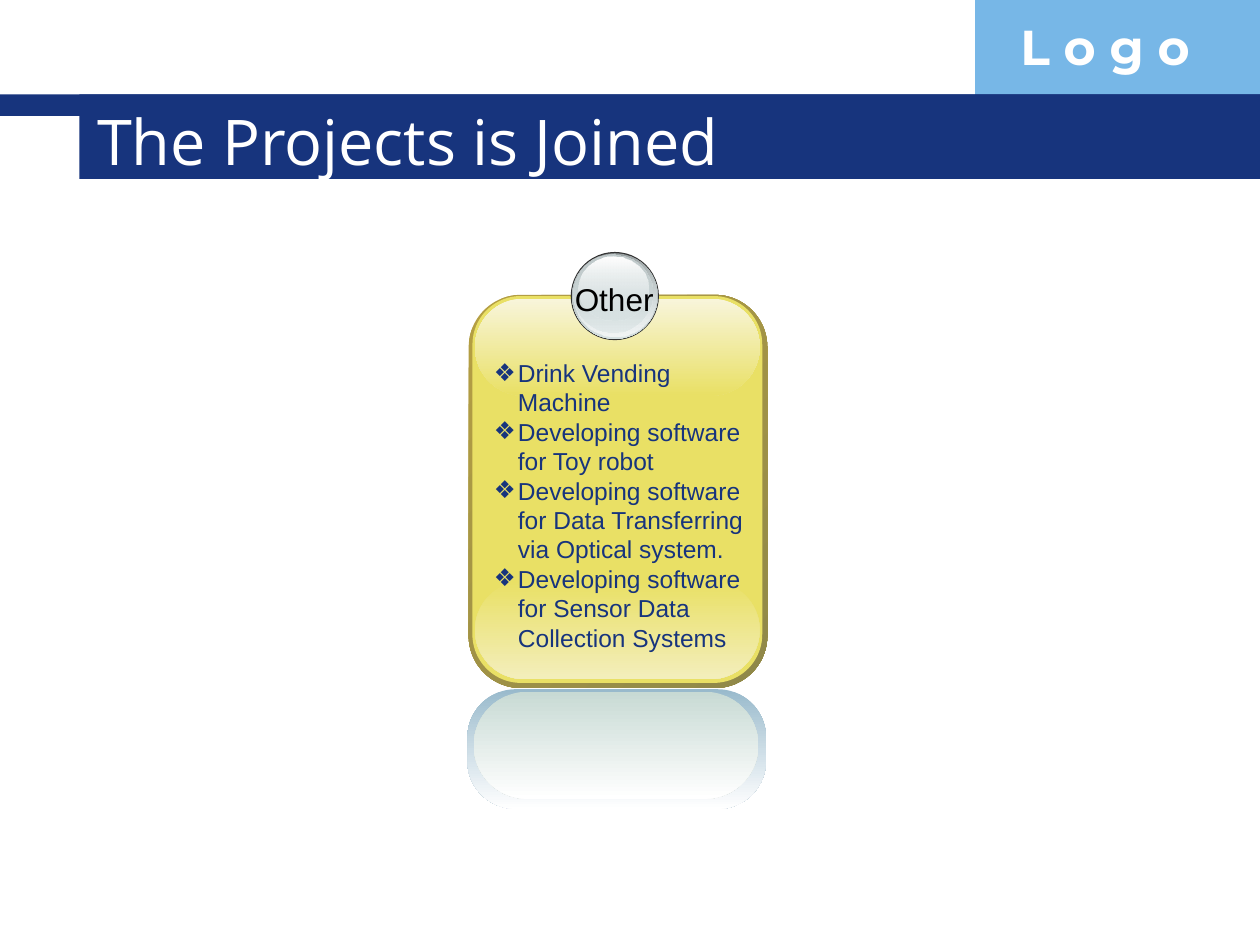
import dataclasses
from typing import Any, Optional

import lxml.etree
import pptx
import pptx.dml.color
import pptx.enum.shapes
import pptx.enum.text
import pptx.oxml.ns
import pptx.util

Inches = pptx.util.Inches
Pt = pptx.util.Pt
Kind = pptx.enum.shapes.MSO_SHAPE
Anchor = pptx.enum.text.MSO_ANCHOR
Align = pptx.enum.text.PP_ALIGN
AutoSize = pptx.enum.text.MSO_AUTO_SIZE
qn = pptx.oxml.ns.qn


@dataclasses.dataclass(frozen=True)
class Style:
    """Font, size and colour of a run."""
    font: str
    size: int
    color: str
    bold: bool = False


@dataclasses.dataclass(frozen=True)
class Theme:
    """Colours and text styles of the slide."""
    navy: str = "17347D"
    sky: str = "77B7E7"
    yellow: str = "E9E065"
    rim: str = "333333"
    silver: str = "D6E1E2"
    white: str = "FFFFFF"
    logo: Style = Style("Montserrat", 28, "FFFFFF", True)
    title: Style = Style("Open Sans", 36, "FFFFFF")
    badge: Style = Style("Arial", 18, "000000")
    project: Style = Style("Arial", 14, "17347D")


@dataclasses.dataclass(frozen=True)
class Layer:
    """A filled outline; a second colour makes the fill a gradient."""
    kind: Any
    box: tuple[float, float, float, float]
    color: str
    end_color: Optional[str] = None
    angle: int = 90
    radius: Optional[float] = None
    opacity: tuple[int, int] = (100, 100)


THEME = Theme()
RECT, ROUND, OVAL = Kind.RECTANGLE, Kind.ROUNDED_RECTANGLE, Kind.OVAL

HEADER = [
    Layer(RECT, (7.74, 0, 2.26, 0.92), THEME.sky),
    Layer(RECT, (0, 0.75, 10, 0.17), THEME.navy),
    Layer(RECT, (0.63, 0.75, 9.37, 0.67), THEME.navy),
]
CARD = [
    Layer(ROUND, (3.72, 2.34, 2.37, 3.12), "B59F43", "8F8849", 45, 0.175),
    Layer(ROUND, (3.75, 2.35, 2.3, 3.07), THEME.yellow, radius=0.167),
    Layer(ROUND, (3.77, 4.61, 2.26, 0.78), THEME.yellow, "F3EEBB", radius=0.5),
    Layer(ROUND, (3.77, 2.37, 2.26, 0.77), "F8F5DB", THEME.yellow, radius=0.5),
]
BADGE = [
    Layer(OVAL, (4.53, 2, 0.7, 0.7), THEME.rim),
    Layer(OVAL, (4.54, 2.01, 0.68, 0.68), "99A1A2", THEME.silver),
    Layer(OVAL, (4.55, 2.01, 0.66, 0.66), THEME.silver, "F2F5F5", opacity=(0, 100)),
    Layer(OVAL, (4.55, 2.02, 0.63, 0.62), "C1CBCC", THEME.silver, opacity=(100, 48)),
    Layer(OVAL, (4.59, 2.04, 0.56, 0.5), THEME.white, THEME.silver, opacity=(100, 38)),
]
REFLECTION = [
    Layer(ROUND, (3.71, 5.47, 2.37, 0.95), "99BACC", THEME.white, radius=0.404),
    Layer(ROUND, (3.76, 5.49, 2.26, 0.85), "C8DAD4", THEME.white, radius=0.5),
]
PROJECTS = [
    "Drink Vending Machine",
    "Developing software for Toy robot",
    "Developing software for Data Transferring via Optical system.",
    "Developing software for Sensor Data Collection Systems",
]


def rgb(color: str) -> pptx.dml.color.RGBColor:
    """Turn a hex string into a colour."""
    return pptx.dml.color.RGBColor.from_string(color)


def draw_layer(slide: Any, layer: Layer) -> None:
    """Draw one layer with no outline and no shadow."""
    shape = slide.shapes.add_shape(layer.kind, *map(Inches, layer.box))
    shape.shadow.inherit = False
    shape.line.fill.background()
    if layer.radius is not None:
        shape.adjustments[0] = layer.radius
    if layer.end_color is None:
        shape.fill.solid()
        shape.fill.fore_color.rgb = rgb(layer.color)
        return
    shape.fill.gradient()
    shape.fill.gradient_angle = 360 - layer.angle
    for place, (stop, color) in enumerate(
            zip(shape.fill.gradient_stops, (layer.color, layer.end_color))):
        stop.position = place
        stop.color.rgb = rgb(color)
    for tint, percent in zip(shape._element.spPr.iter(qn("a:srgbClr")), layer.opacity):
        if percent < 100:
            lxml.etree.SubElement(tint, qn("a:alpha"), val=str(percent * 1000))


def add_run(paragraph: Any, text: str, style: Style) -> None:
    """Append a styled run to a paragraph."""
    run = paragraph.add_run()
    run.text = text
    run.font.name = style.font
    run.font.size = Pt(style.size)
    run.font.bold = style.bold
    run.font.color.rgb = rgb(style.color)


def add_label(slide: Any, box: tuple[float, float, float, float], text: str,
              style: Style, align: Any, wrap: bool) -> None:
    """Add a one-line text box."""
    frame = slide.shapes.add_textbox(*map(Inches, box)).text_frame
    frame.word_wrap = wrap
    frame.paragraphs[0].alignment = align
    add_run(frame.paragraphs[0], text, style)


def place(slide: Any, holder: Any, box: tuple[float, float, float, float],
          anchor: Any) -> Any:
    """Move a placeholder to the front and to its box; return its text frame."""
    slide.shapes._spTree.append(holder._element)
    holder.left, holder.top, holder.width, holder.height = map(Inches, box)
    frame = holder.text_frame
    frame.word_wrap = True
    frame.auto_size = AutoSize.NONE
    frame.vertical_anchor = anchor
    return frame


def add_bullet(paragraph: Any, text: str) -> None:
    """Fill a paragraph as a diamond-bulleted project."""
    paragraph.alignment = Align.LEFT
    paragraph.space_before = Pt(0)
    properties = paragraph._p.get_or_add_pPr()
    indent = Inches(0.19)
    properties.set("marL", str(indent))
    properties.set("indent", str(-indent))
    lxml.etree.SubElement(properties, qn("a:buFont"), typeface="Arial")
    lxml.etree.SubElement(properties, qn("a:buChar"), char="❖")
    add_run(paragraph, text, THEME.project)


def build() -> None:
    """Build the slide and save it."""
    deck = pptx.Presentation()
    deck.slide_width, deck.slide_height = Inches(10), Inches(7.5)
    slide = deck.slides.add_slide(deck.slide_layouts[1])
    title, projects = slide.shapes.title, slide.placeholders[1]

    for layer in HEADER:
        draw_layer(slide, layer)
    add_label(slide, (8, 0.08, 2, 0.57), "L o g o", THEME.logo, Align.LEFT, True)
    heading = place(slide, title, (0.67, 0.8, 8.75, 0.62), Anchor.MIDDLE).paragraphs[0]
    heading.alignment = Align.LEFT
    add_run(heading, "The Projects is Joined", THEME.title)

    for layer in CARD + BADGE:
        draw_layer(slide, layer)
    add_label(slide, (4.46, 2.17, 0.83, 0.4), "Other", THEME.badge, Align.CENTER, False)
    for layer in REFLECTION:
        draw_layer(slide, layer)

    frame = place(slide, projects, (3.82, 2.79, 2.21, 3.06), Anchor.TOP)
    for number, project in enumerate(PROJECTS):
        add_bullet(frame.add_paragraph() if number else frame.paragraphs[0], project)

    deck.save("out.pptx")


build()
